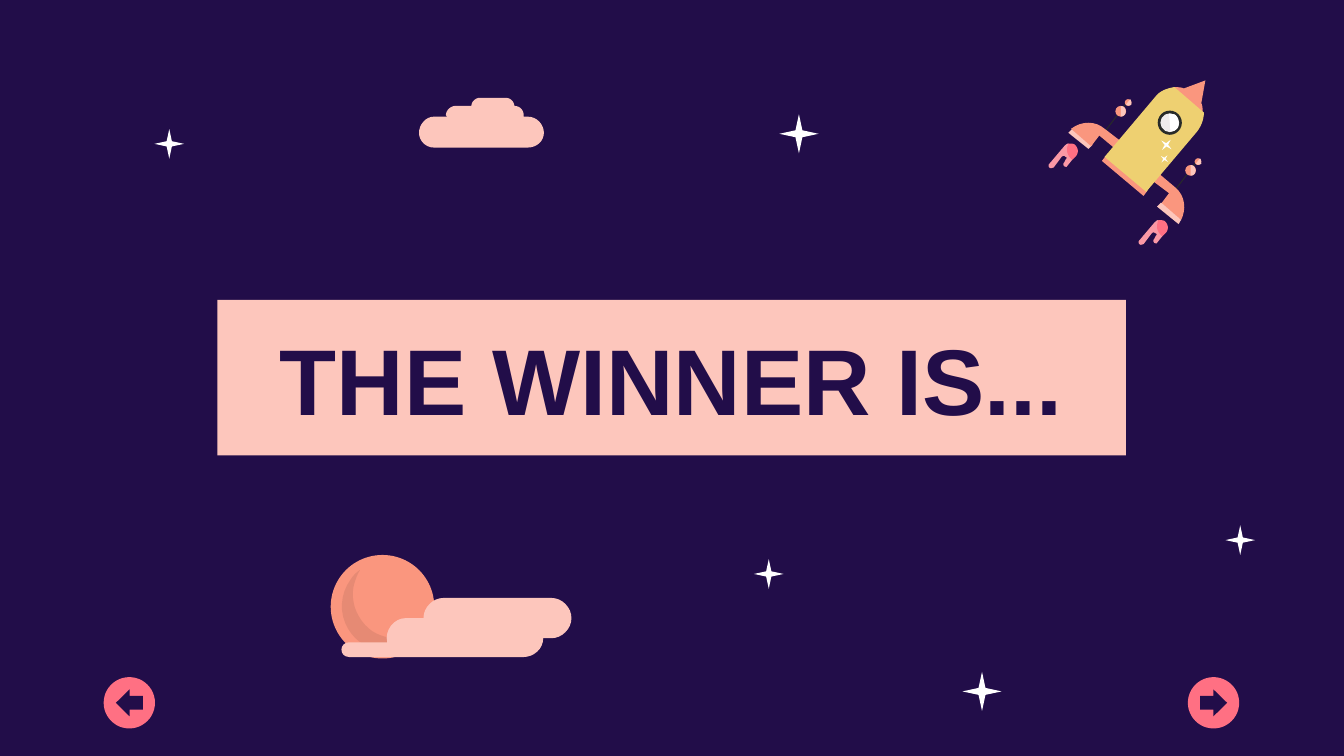
from dataclasses import dataclass

from lxml.etree import SubElement
from pptx import Presentation
from pptx.dml.color import RGBColor
from pptx.enum.shapes import MSO_CONNECTOR, MSO_SHAPE
from pptx.enum.text import MSO_ANCHOR, MSO_AUTO_SIZE, PP_ALIGN
from pptx.oxml.ns import qn
from pptx.util import Cm, Pt

COLORS = {
    "night": "220D49", "blush": "FDC6BC", "coral": "FA967E", "pink": "FF7083",
    "flame": "FA98A5", "yellow": "EED071", "dark": "282B29", "glass": "F0ECED",
    "white": "FFFFFF", "shade": "000000",
}
CURVE_STEPS = 8


@dataclass
class Box:
    left: float
    top: float
    width: float
    height: float
    columns: int = 1

    def size(self, units):
        return Cm(units * self.width / self.columns)

    def spot(self, x, y):
        return Cm(self.left) + self.size(x), Cm(self.top) + self.size(y)


def color(name):
    return RGBColor.from_string(COLORS[name])


def paint(shape, name):
    shape.shadow.inherit = False
    shape.fill.solid()
    shape.fill.fore_color.rgb = color(name)
    shape.line.fill.background()
    return shape


def preset(shapes, kind, box, x, y, units, name):
    size = box.size(units)
    return paint(shapes.add_shape(kind, *box.spot(x, y), size, size), name)


def curve_points(start, segment):
    controls = [start, segment[:2], segment[2:4], segment[4:]]
    for step in range(1, CURVE_STEPS + 1):
        t = step / CURVE_STEPS
        weights = ((1 - t) ** 3, 3 * t * (1 - t) ** 2, 3 * t * t * (1 - t), t ** 3)
        yield tuple(sum(w * c[axis] for w, c in zip(weights, controls)) for axis in (0, 1))


def outline(shapes, box, name, start, *segments, shift=(0, 0)):
    points = [start]
    for segment in segments:
        points.extend([segment] if len(segment) == 2 else list(curve_points(points[-1], segment)))
    spots = [box.spot(x + shift[0], y + shift[1]) for x, y in points]
    builder = shapes.build_freeform(*spots[0])
    builder.add_line_segments(spots[1:], close=True)
    return paint(builder.convert_to_shape(), name)


def add_sun(page, box):
    shapes = page.shapes.add_group_shape().shapes
    preset(shapes, MSO_SHAPE.OVAL, box, 0, 0, 77, "coral")
    shade = outline(shapes, box, "shade", (22, 11), (20, 14, 19, 17, 18, 20),
                    (16, 26, 16, 32, 18, 39), (21, 48, 28, 57, 38, 60),
                    (48, 64, 59, 61, 67, 56), (61, 66, 51, 71, 41, 71),
                    (29, 71, 19, 65, 13, 55), (6, 43, 7, 29, 15, 18),
                    (17, 15, 19, 13, 22, 11))
    fill = shade.fill._xPr.find(qn("a:solidFill"))
    SubElement(fill[0], qn("a:alpha"), val="8000")
    outline(page.shapes, box, "blush", (84, 32), (76, 32, 69, 39, 69, 47), (56, 47),
            (47, 47, 40, 56, 42, 65), (14, 65), (6, 65, 6, 76, 14, 76), (143, 76),
            (151, 76, 158, 70, 158, 62), (164, 62), (172, 62, 179, 55, 179, 47),
            (179, 39, 172, 32, 164, 32))


def add_cloud(page, box):
    outline(page.shapes, box, "blush", (65, 0), (68, 0, 71, 3, 71, 6),
            (75, 6, 78, 9, 78, 13), (78, 14), (81, 14), (88, 14, 93, 20, 93, 26),
            (93, 32, 88, 37, 81, 37), (11, 37), (5, 37, 0, 32, 0, 26),
            (0, 20, 5, 14, 11, 14), (21, 14), (20, 13), (20, 9, 24, 6, 27, 6),
            (39, 6), (39, 3, 42, 0, 45, 0))


def add_star(page, box):
    star = preset(page.shapes, MSO_SHAPE.STAR_4_POINT, box, 0, 0, 1, "white")
    star.adjustments[0] = 0.125


def add_bubbles(shapes, box, shift):
    across, down = shift
    stem = shapes.add_connector(MSO_CONNECTOR.STRAIGHT, *box.spot(59 + across, 16 + down),
                                *box.spot(43 + across, 37 + down))
    stem.line.color.rgb = color("dark")
    stem.line.width = Pt(0.5)
    SubElement(stem.line._ln.getparent(), qn("a:effectLst"))
    preset(shapes, MSO_SHAPE.OVAL, box, 57 + across, 14 + down, 5, "coral")
    preset(shapes, MSO_SHAPE.OVAL, box, 50 + across, 19 + down, 8, "coral")
    outline(shapes, box, "blush", (61, 14), (62, 15, 62, 17, 62, 18),
            (61, 19, 59, 19, 58, 18), shift=shift)
    outline(shapes, box, "blush", (54, 19), (59, 19, 59, 27, 54, 27), shift=shift)


def add_flame(shapes, box, shift):
    outline(shapes, box, "flame", (15, 47), (14, 51, 15, 56, 18, 59), (14, 64),
            (14, 65, 12, 64, 12, 64), (11, 63, 11, 62, 12, 61), (13, 59),
            (14, 58, 14, 57, 13, 57), (12, 56, 11, 56, 10, 57), (4, 65),
            (3, 65, 2, 66, 1, 65), (0, 64, 0, 63, 1, 62), (12, 49),
            (13, 48, 14, 47, 15, 47), shift=shift)
    outline(shapes, box, "pink", (20, 48), (22, 50, 23, 53, 21, 56), (18, 59),
            (14, 56, 13, 52, 15, 47), (17, 47, 19, 47, 20, 48), shift=shift)


def add_rocket(page, box):
    shapes = page.shapes.add_group_shape().shapes
    for shift in ((0, 0), (52, 44)):
        add_bubbles(shapes, box, shift)
    outline(shapes, box, "blush", (33, 48), (30, 51), (15, 39), (16, 38, 17, 37, 18, 36))
    outline(shapes, box, "coral", (55, 46), (50, 51), (38, 41), (32, 49), (17, 36),
            (25, 30, 35, 30, 42, 36))
    outline(shapes, box, "coral", (95, 80), (102, 86, 103, 96, 99, 104), (84, 92),
            (90, 84), (78, 75), (82, 69))
    outline(shapes, box, "blush", (99, 104), (98, 105, 98, 106, 97, 107), (81, 94), (84, 91))
    outline(shapes, box, "coral", (117, 0), (114, 17), (115, 19, 115, 22, 115, 24),
            (93, 5), (96, 5, 99, 5, 101, 6))
    outline(shapes, box, "coral", (74, 82), (71, 86), (40, 60), (43, 56))
    outline(shapes, box, "yellow", (116, 24), (116, 29, 114, 34, 111, 38), (73, 83),
            (42, 57), (80, 12), (83, 8, 88, 6, 94, 5))
    preset(shapes, MSO_SHAPE.OVAL, box, 81.5, 22.5, 18, "dark")
    preset(shapes, MSO_SHAPE.OVAL, box, 83.5, 24.5, 14, "glass")
    outline(shapes, box, "white", (95, 26), (96, 27, 97, 29, 97, 31),
            (98, 35, 95, 38, 91, 38), (90, 25), (92, 25, 94, 25, 95, 26))
    for shift in ((0, 0), (67, 57)):
        add_flame(shapes, box, shift)
    for top, units in ((43, 10), (55, 7)):
        sparkle = preset(shapes, MSO_SHAPE.STAR_4_POINT, box, 83, top, units, "white")
        sparkle.rotation = 40


def add_title(page, box):
    title = page.shapes.title
    title.left, title.top = box.spot(0, 0)
    title.width, title.height = Cm(box.width), Cm(box.height)
    title.fill.solid()
    title.fill.fore_color.rgb = color("blush")
    frame = title.text_frame
    frame.word_wrap = True
    frame.auto_size = MSO_AUTO_SIZE.NONE
    frame.vertical_anchor = MSO_ANCHOR.MIDDLE
    frame.margin_left = frame.margin_right = frame.margin_top = frame.margin_bottom = Cm(0.25)
    para = frame.paragraphs[0]
    para.alignment = PP_ALIGN.CENTER
    span = para.add_run()
    span.text = "THE WINNER IS..."
    span.font.name = "Arial"
    span.font.size = Pt(50)
    span.font.bold = True
    span.font.color.rgb = color("night")


def add_button(page, box, kind):
    shapes = page.shapes.add_group_shape().shapes
    preset(shapes, MSO_SHAPE.OVAL, box, 0, 0, 38, "pink")
    arrow = preset(shapes, kind, box, 9, 9, 20, "night")
    arrow.adjustments[0], arrow.adjustments[1] = 0.51, 0.51


def main():
    deck = Presentation()
    deck.slide_width, deck.slide_height = Cm(25.4), Cm(14.29)
    page = deck.slides.add_slide(deck.slide_layouts[5])
    page.background.fill.solid()
    page.background.fill.fore_color.rgb = color("night")

    add_sun(page, Box(6.25, 10.49, 4.55, 1.96, 179))
    add_cloud(page, Box(7.92, 1.85, 2.36, 0.94, 93))
    for left, top, size in ((14.73, 2.16, 0.74), (2.92, 2.44, 0.56), (23.16, 9.93, 0.56),
                            (14.25, 10.57, 0.56), (18.19, 12.7, 0.74)):
        add_star(page, Box(left, top, size, size))
    add_rocket(page, Box(19.81, 1.52, 2.97, 3.1, 117))
    add_title(page, Box(4.11, 5.67, 17.17, 2.94))
    for left, kind in ((22.45, MSO_SHAPE.RIGHT_ARROW), (1.96, MSO_SHAPE.LEFT_ARROW)):
        add_button(page, Box(left, 12.8, 0.97, 0.97, 38), kind)
    deck.save("out.pptx")


if __name__ == "__main__":
    main()
